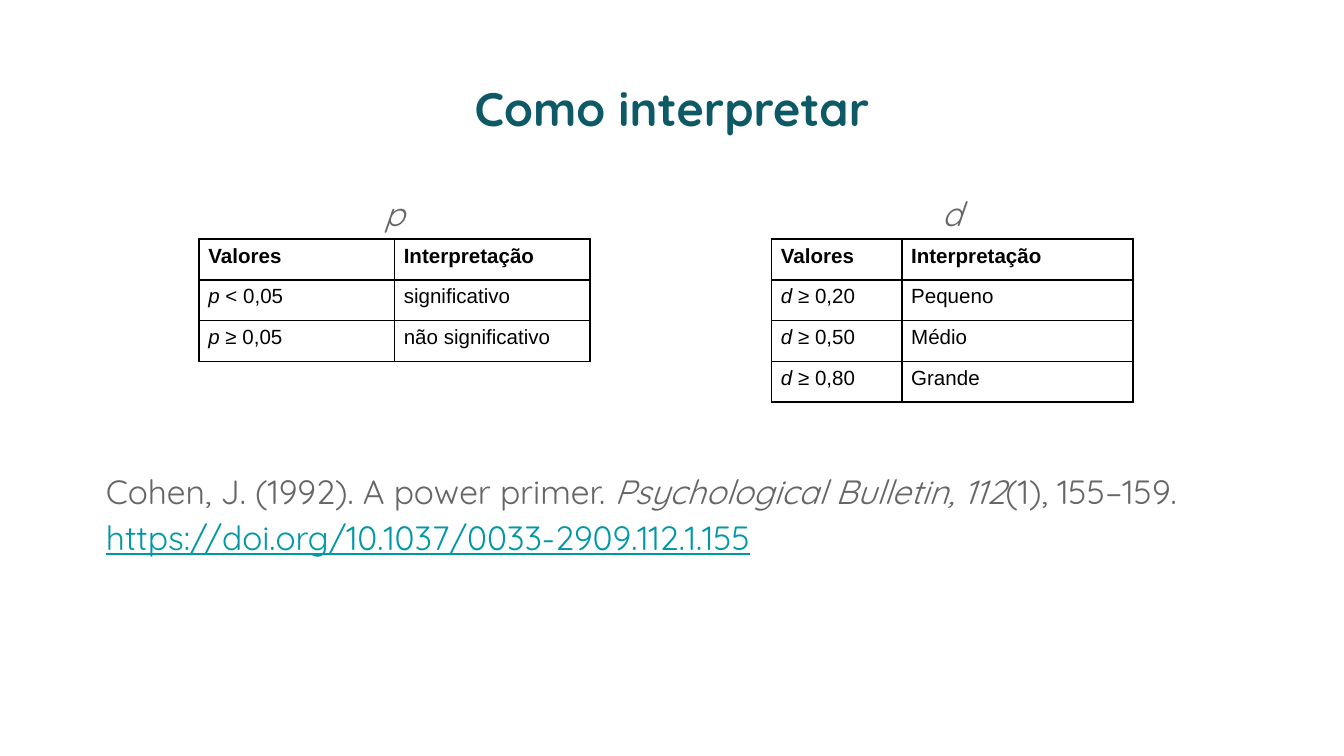
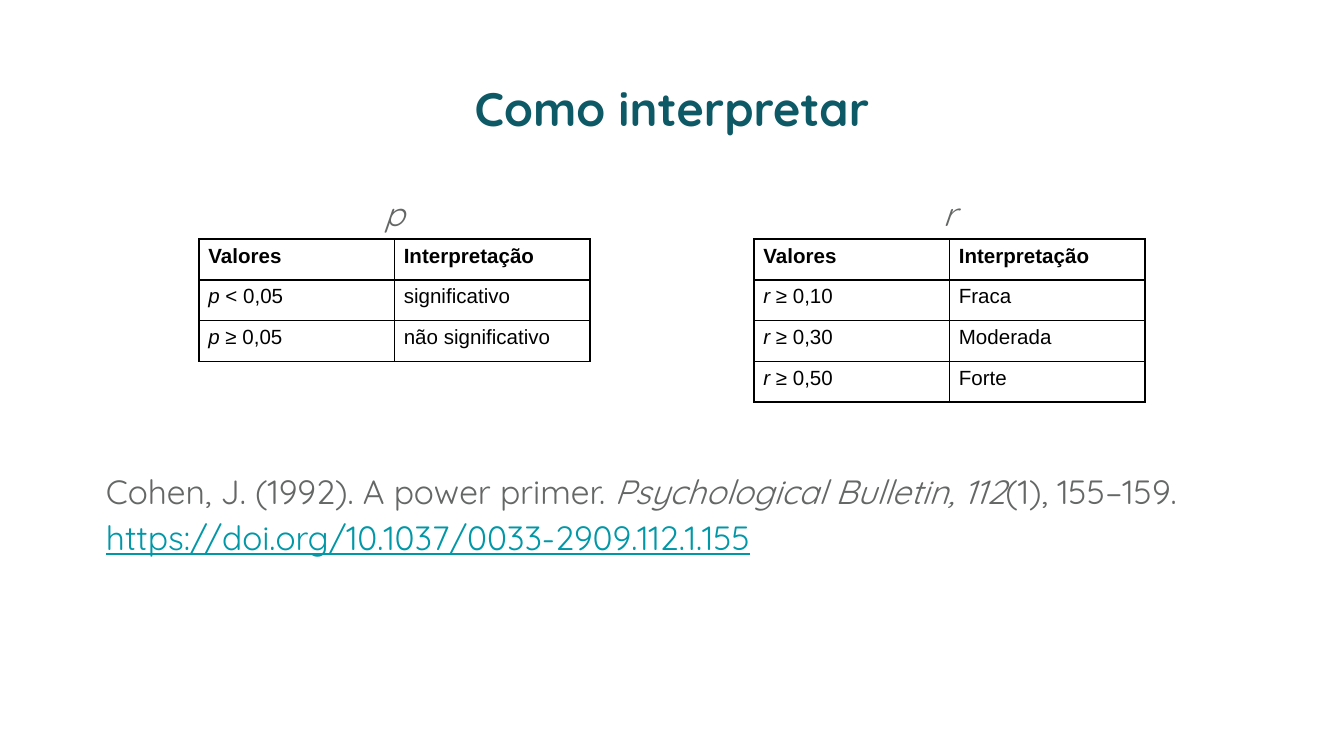
from lxml import etree
from pptx import Presentation
from pptx.dml.color import RGBColor
from pptx.enum.text import PP_ALIGN
from pptx.oxml.ns import qn
from pptx.util import Inches, Pt

CENTER, LEFT = PP_ALIGN.CENTER, PP_ALIGN.LEFT
TITLE, BODY, LINK, BLACK = "0D5966", "656666", "0097A7", "000000"
HEADING_FONT, TABLE_FONT = "Quicksand", "Arial"

WIDTH = 10
HEIGHT = WIDTH * 9 / 16
TITLE_MARGIN, BODY_MARGIN, INSET = 0.34, 0.69, 0.1
BODY_TOP, TABLE_TOP = 1.29, 1.78
ROW = 0.91 / 3
SYMBOL_GAP = Pt(124)  # space between the symbols and the reference
HALF = 2.91 / 2

P_TABLE = ("p", 1.48, (HALF, HALF),
           [("< 0,05", "significativo"), ("≥ 0,05", "não significativo")])
SLIDES = [
    [P_TABLE, ("d", 5.74, (0.97, 1.72),
               [("≥ 0,20", "Pequeno"), ("≥ 0,50", "Médio"), ("≥ 0,80", "Grande")])],
    [P_TABLE, ("r", 5.61, (HALF, HALF),
               [("≥ 0,10", "Fraca"), ("≥ 0,30", "Moderada"), ("≥ 0,50", "Forte")])],
]
REFERENCE = [
    ("Cohen, J. (1992). A power primer. ", False),
    ("Psychological Bulletin, 112", True),
    ("(1), 155–159. ", False),
    ("https://doi.org/10.1037/0033-2909.112.1.155", False),
]


def color(hex_value):
    return RGBColor.from_string(hex_value)


def write(p, runs, font, size, hex_value, bold=False, align=LEFT, spacing=1.0):
    """Style a paragraph and fill it with (text, italic) runs."""
    p.alignment, p.line_spacing = align, spacing
    p.font.name, p.font.size, p.font.bold = font, Pt(size), bold
    p.font.color.rgb = color(hex_value)
    for text, italic in runs:
        r = p.add_run()
        r.text, r.font.italic = text, italic


prs = Presentation()
prs.slide_width, prs.slide_height = Inches(WIDTH), Inches(HEIGHT)

for tables in SLIDES:
    s = prs.slides.add_slide(prs.slide_layouts[6])

    # Title and body text
    frames = []
    for margin, top, height in ((TITLE_MARGIN, 0.49, 0.63),
                                (BODY_MARGIN, BODY_TOP, HEIGHT - BODY_TOP)):
        tf = s.shapes.add_textbox(Inches(margin), Inches(top),
                                  Inches(WIDTH - 2 * margin), Inches(height)).text_frame
        tf.word_wrap = True
        tf.margin_left = tf.margin_right = tf.margin_top = tf.margin_bottom = Inches(INSET)
        frames.append(tf)
    title, body = frames
    write(title.paragraphs[0], [("Como interpretar", False)],
          HEADING_FONT, 25.2, TITLE, True, CENTER)

    # Symbols, each on a tab stop centred over its table
    p = body.paragraphs[0]
    write(p, [("".join(f"\t{symbol}" for symbol, *_ in tables), True)],
          HEADING_FONT, 18, BODY, spacing=1.15)
    tabs = etree.Element(qn("a:tabLst"))
    for _, left, cols, _ in tables:
        stop = Inches(left + sum(cols) / 2 - BODY_MARGIN - INSET)
        etree.SubElement(tabs, qn("a:tab"), pos=str(stop), algn="ctr")
    p._p.pPr.find(qn("a:defRPr")).addprevious(tabs)

    p = body.add_paragraph()
    p.space_before = SYMBOL_GAP
    write(p, REFERENCE, HEADING_FONT, 18, BODY, spacing=1.15)
    address = p.runs[-1]
    address.font.color.rgb = color(LINK)
    address.font.underline = True

    # Tables of cut-off values
    for symbol, left, cols, limits in tables:
        rows = [([("Valores", False)], [("Interpretação", False)])]
        rows += [([(symbol, True), (f" {limit}", False)], [(meaning, False)])
                 for limit, meaning in limits]
        table = s.shapes.add_table(len(rows), len(cols), Inches(left), Inches(TABLE_TOP),
                                   Inches(sum(cols)), Inches(ROW * len(rows))).table
        table.horz_banding = False
        for column, width in zip(table.columns, cols):
            column.width = Inches(width)
        for i, row in enumerate(rows):
            for j, runs in enumerate(row):
                cell = table.cell(i, j)
                cell.margin_left = cell.margin_right = Inches(0.07)
                cell.margin_top = cell.margin_bottom = Inches(0.04)
                write(cell.text_frame.paragraphs[0], runs, TABLE_FONT, 11, BLACK, i == 0)
                tcPr = cell._tc.get_or_add_tcPr()
                for side in ("lnL", "lnR", "lnT", "lnB"):
                    ln = etree.SubElement(tcPr, qn(f"a:{side}"), w=str(Pt(1)))
                    fill = etree.SubElement(ln, qn("a:solidFill"))
                    etree.SubElement(fill, qn("a:srgbClr"), val=BLACK)
                cell.fill.background()

prs.save("out.pptx")
